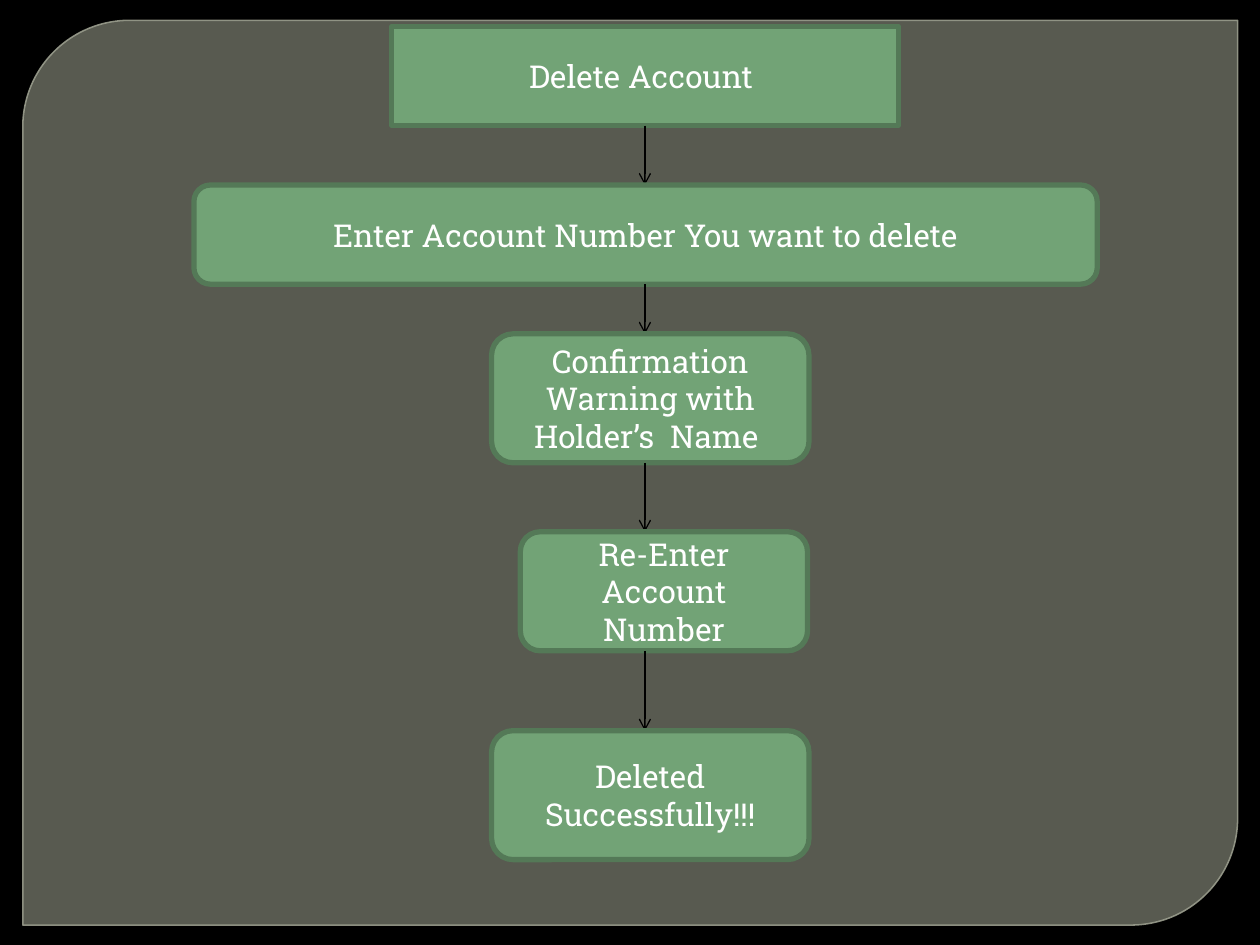
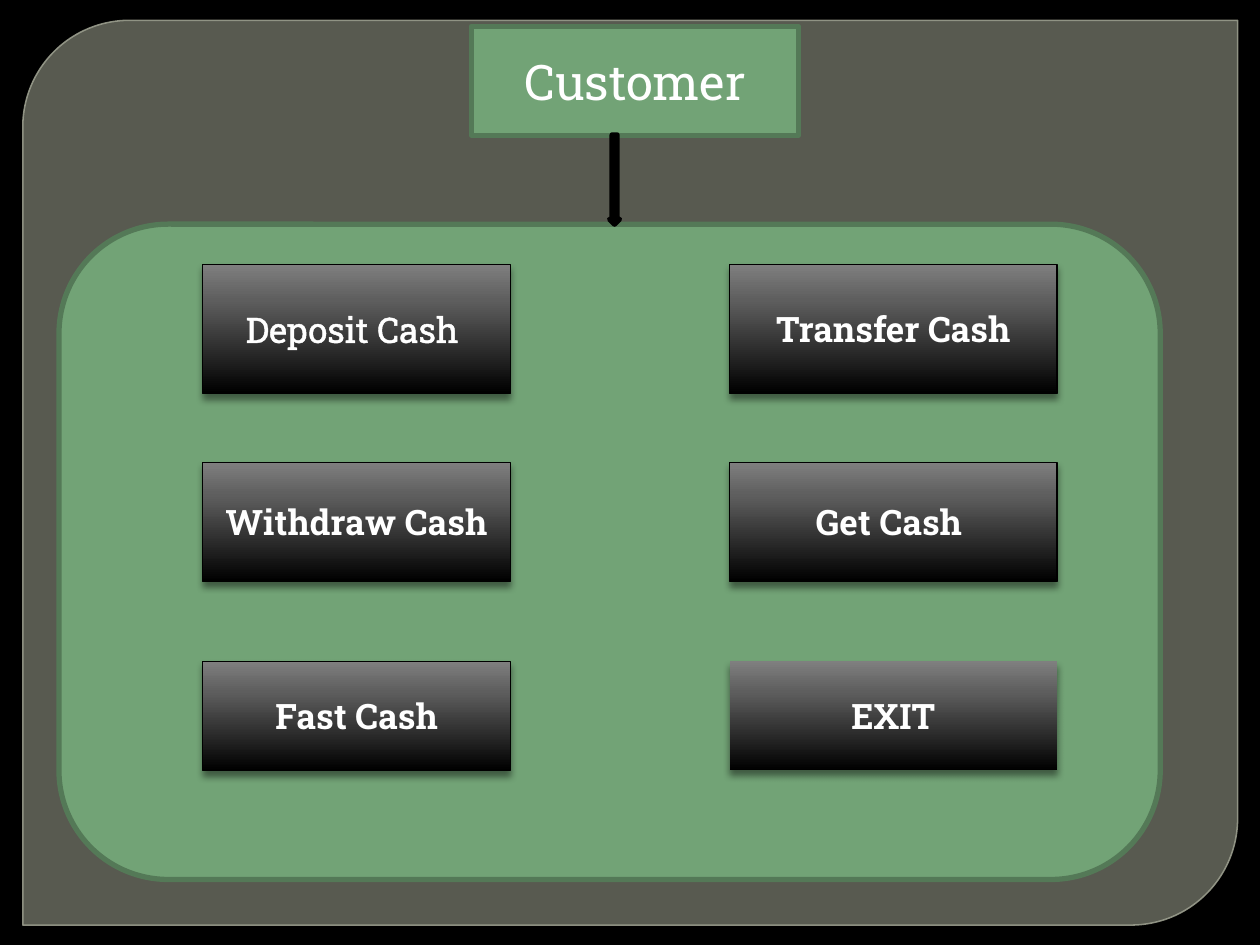
from lxml.etree import SubElement
from pptx import Presentation
from pptx.dml.color import RGBColor
from pptx.enum.shapes import MSO_CONNECTOR, MSO_SHAPE as Preset
from pptx.enum.text import MSO_ANCHOR, PP_ALIGN
from pptx.oxml import parse_xml
from pptx.oxml.ns import nsdecls, qn
from pptx.util import Cm, Pt

BLACK = RGBColor(0x00, 0x00, 0x00)
WHITE = RGBColor(0xFF, 0xFF, 0xFF)
GREEN = RGBColor(0x72, 0xA3, 0x76)
DARK_GREEN = RGBColor(0x54, 0x79, 0x57)
FRAME_FILL = RGBColor(0x88, 0x8B, 0x7B)
FRAME_LINE = RGBColor(0x9D, 0xA0, 0x90)
BUTTON_STOPS = [(0, BLACK), (72, RGBColor(0x5E, 0x5E, 0x5E)),
                (100, RGBColor(0x7F, 0x7F, 0x7F))]
FONT = "Roboto Slab"
SPINE = 13.0
BLANK_LAYOUT = 6

DELETE_STEPS = [
    ("Delete Account ", Preset.RECTANGLE, (7.9, 0.53, 10.21, 2.0)),
    ("Enter Account Number You want to delete", Preset.ROUNDED_RECTANGLE,
     (3.91, 3.73, 18.21, 2.0)),
    ("Confirmation Warning with Holder’s  Name ", Preset.ROUNDED_RECTANGLE,
     (9.91, 6.73, 6.4, 2.6)),
    ("Re-Enter Account Number", Preset.ROUNDED_RECTANGLE,
     (10.49, 10.72, 5.79, 2.4)),
    ("Deleted Successfully!!!", Preset.ROUNDED_RECTANGLE,
     (9.91, 14.73, 6.4, 2.6)),
]
MENU_COLUMNS = [(4.09, 6.2), (14.71, 6.6)]
MENU_ROWS = [
    (5.33, 2.6, ("Deposit Cash ", "Transfer Cash")),
    (9.32, 2.4, ("Withdraw Cash", "Get Cash ")),
    (13.33, 2.2, ("Fast Cash", "EXIT")),
]


def add_block(slide, preset, box, fill, line, width):
    block = slide.shapes.add_shape(preset, *map(Cm, box))
    block.shadow.inherit = False
    block.fill.solid()
    block.fill.fore_color.rgb = fill
    if line is None:
        block.line.fill.background()
    else:
        block.line.color.rgb = line
        block.line.width = Pt(width)
    return block


def add_green_block(slide, preset, box):
    return add_block(slide, preset, box, GREEN, DARK_GREEN, 3)


def write_label(block, text, size, bold=False):
    frame = block.text_frame
    frame.word_wrap = True
    frame.vertical_anchor = MSO_ANCHOR.MIDDLE
    paragraph = frame.paragraphs[0]
    paragraph.alignment = PP_ALIGN.CENTER
    run = paragraph.add_run()
    run.text = text
    run.font.name = FONT
    run.font.size = Pt(size)
    run.font.bold = bold
    run.font.color.rgb = WHITE
    return run


def set_alpha(color_parent, percent):
    color = next(color_parent.iter(qn("a:srgbClr")))
    SubElement(color, qn("a:alpha"), val=str(percent * 1000))


def add_framed_slide(deck):
    slide = deck.slides.add_slide(deck.slide_layouts[BLANK_LAYOUT])
    frame = add_block(slide, Preset.ROUND_2_DIAG_RECTANGLE,
                      (0.46, 0.41, 24.49, 18.24), FRAME_FILL, FRAME_LINE, 0.87)
    frame.adjustments[0] = 0.118
    properties = frame._element.spPr
    set_alpha(properties.find(qn("a:solidFill")), 65)
    set_alpha(properties.find(qn("a:ln")), 88)
    return slide


def add_step_arrow(slide, top, bottom):
    arrow = slide.shapes.add_connector(
        MSO_CONNECTOR.STRAIGHT, Cm(SPINE), Cm(top), Cm(SPINE), Cm(bottom))
    arrow.line.color.rgb = BLACK
    arrow.line.width = Pt(0.75)
    SubElement(arrow.line._get_or_add_ln(), qn("a:tailEnd"), type="arrow")
    SubElement(arrow._element.spPr, qn("a:effectLst"))


def shade_button(button):
    properties = button._element.spPr
    stops = "".join(
        f'<a:gs pos="{position * 1000}"><a:srgbClr val="{color}"/></a:gs>'
        for position, color in BUTTON_STOPS)
    gradient = parse_xml(
        f'<a:gradFill {nsdecls("a")} rotWithShape="1"><a:gsLst>{stops}</a:gsLst>'
        '<a:lin ang="16200000" scaled="0"/></a:gradFill>')
    properties.replace(properties.find(qn("a:solidFill")), gradient)
    drop = SubElement(properties.find(qn("a:effectLst")), qn("a:outerShdw"),
                      blurRad=str(Pt(4)), dist=str(Pt(3)), dir="5400000",
                      algn="ctr", rotWithShape="0")
    SubElement(drop, qn("a:srgbClr"), val=str(BLACK))
    set_alpha(drop, 43)


def outline_text(run):
    outline = parse_xml(
        f'<a:ln {nsdecls("a")} w="{Pt(1.45)}"><a:solidFill>'
        f'<a:srgbClr val="{WHITE}"/></a:solidFill></a:ln>')
    run.font._element.insert(0, outline)


def add_menu_button(slide, box, text):
    line = None if text == "EXIT" else BLACK
    button = add_block(slide, Preset.RECTANGLE, box, BLACK, line, 0.75)
    shade_button(button)
    outlined = text.startswith("Deposit")
    run = write_label(button, text, 20, bold=not outlined)
    if outlined:
        outline_text(run)


def build_delete_flow(deck):
    slide = add_framed_slide(deck)
    previous_bottom = None
    for text, preset, box in DELETE_STEPS:
        _, top, _, height = box
        if previous_bottom is not None:
            add_step_arrow(slide, previous_bottom, top)
        write_label(add_green_block(slide, preset, box), text, 18)
        previous_bottom = top + height


def build_customer_menu(deck):
    slide = add_framed_slide(deck)
    customer = add_green_block(slide, Preset.RECTANGLE, (9.5, 0.53, 6.6, 2.2))
    write_label(customer, "Customer", 28)
    add_green_block(slide, Preset.ROUNDED_RECTANGLE, (1.19, 4.52, 22.2, 13.21))
    for top, height, labels in MENU_ROWS:
        for (left, width), text in zip(MENU_COLUMNS, labels):
            add_menu_button(slide, (left, top, width, height), text)
    add_block(slide, Preset.DOWN_ARROW, (12.29, 2.72, 0.2, 1.8), BLACK, BLACK, 3)


def main():
    deck = Presentation()
    deck.slide_width = Cm(25.4)
    deck.slide_height = Cm(19.05)
    backdrop = deck.slide_master.background.fill
    backdrop.solid()
    backdrop.fore_color.rgb = BLACK
    build_delete_flow(deck)
    build_customer_menu(deck)
    deck.save("out.pptx")


if __name__ == "__main__":
    main()
